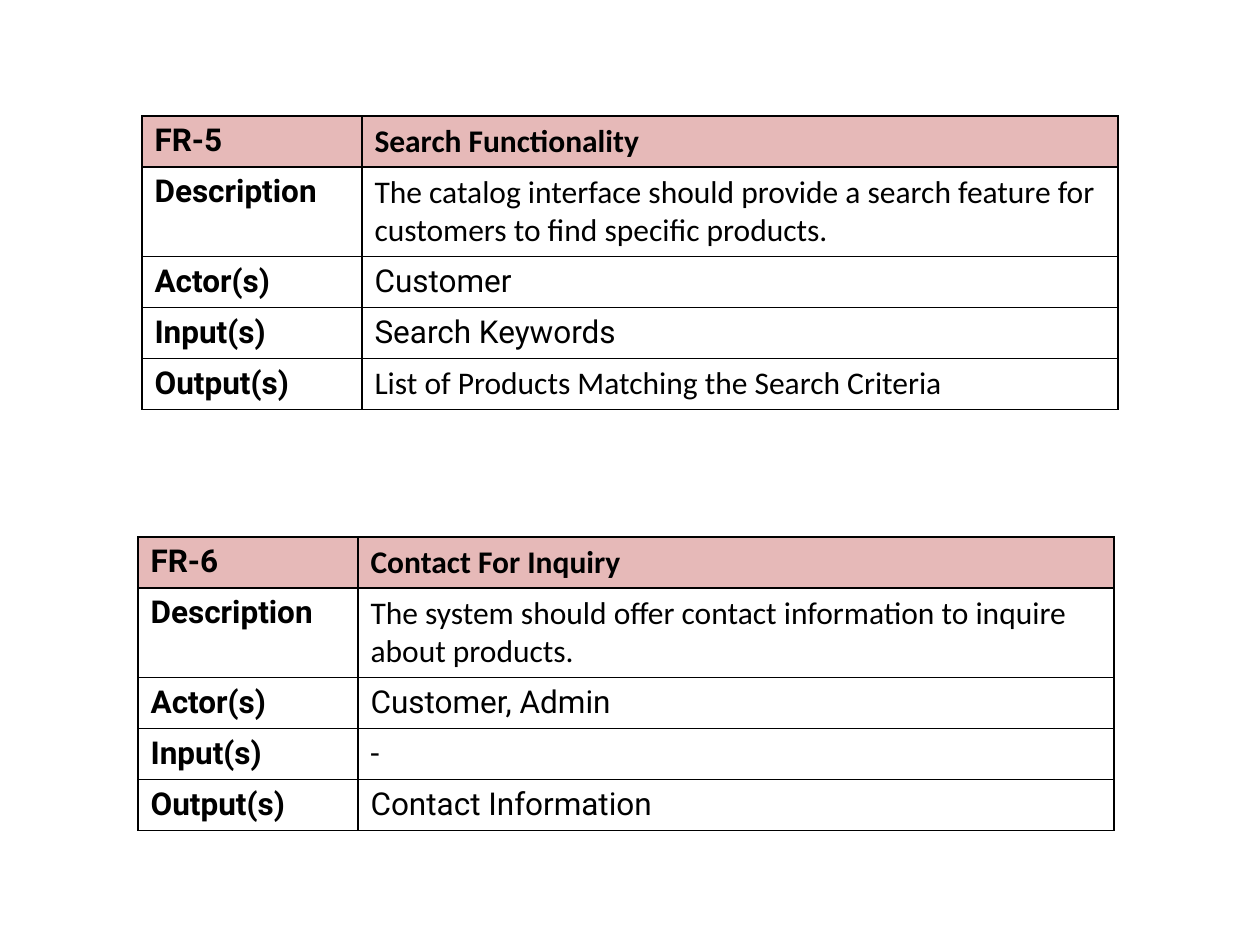
from lxml.etree import SubElement as Sub
from pptx import Presentation
from pptx.dml.color import RGBColor as RGB
from pptx.oxml.ns import qn
from pptx.util import Pt

PX = 914400 // 126
HUES = {"head": "E6B9B8", "body": "FFFFFF", "ink": "000000"}
HEADS = ["Description", "Actor(s)", "Input(s)", "Output(s)"]
COLS = [220, 756]
ROWS = [51, 89, 51, 51, 51]

SEARCH = [
    ("Search Functionality", "Calibri"),
    ("The catalog interface should provide a search feature for "
     "customers to find specific products.", "Calibri"),
    ("Customer", "Roboto"),
    ("Search Keywords", "Roboto"),
    ("List of Products Matching the Search Criteria", "Calibri"),
]
CONTACT = [
    ("Contact For Inquiry", "Calibri"),
    ("The system should offer contact information to inquire "
     "about products.", "Calibri"),
    ("Customer, Admin", "Roboto"),
    ("-", "Roboto"),
    ("Contact Information", "Roboto"),
]


def px(num):
    return num * PX


def add_rules(cell):
    props = cell._tc.get_or_add_tcPr()
    for pos, tag in enumerate(("a:lnL", "a:lnR", "a:lnT", "a:lnB")):
        line = props.makeelement(qn(tag), {"w": str(Pt(1))})
        fill = Sub(line, qn("a:solidFill"))
        Sub(fill, qn("a:srgbClr"), val=HUES["ink"])
        props.insert(pos, line)


def fill_cell(cell, text, face, bold, hue):
    cell.text = text
    font = cell.text_frame.paragraphs[0].font
    font.name, font.size, font.bold = face, Pt(18), bold
    font.color.rgb = RGB.from_string(HUES["ink"])
    if hue == "body":
        cell.fill.background()
    else:
        cell.fill.solid()
        cell.fill.fore_color.rgb = RGB.from_string(HUES[hue])
    add_rules(cell)


def add_card(slide, left, top, code, facts):
    frame = slide.shapes.add_table(len(ROWS), len(COLS), px(left), px(top),
                                   px(sum(COLS)), px(sum(ROWS)))
    table = frame.table
    table.horz_banding = False
    for col, wide in zip(table.columns, COLS):
        col.width = px(wide)
    for row, high in zip(table.rows, ROWS):
        row.height = px(high)
    for num, (label, (text, face)) in enumerate(zip([code] + HEADS, facts)):
        hue = "body" if num else "head"
        fill_cell(table.cell(num, 0), label, "Roboto", True, hue)
        fill_cell(table.cell(num, 1), text, face, num == 0, hue)


def main():
    deck = Presentation()
    deck.slide_width, deck.slide_height = px(1260), px(945)
    slide = deck.slides.add_slide(deck.slide_layouts[6])
    add_card(slide, 142, 116, "FR-5", SEARCH)
    add_card(slide, 138, 537, "FR-6", CONTACT)
    deck.save("out.pptx")


main()
